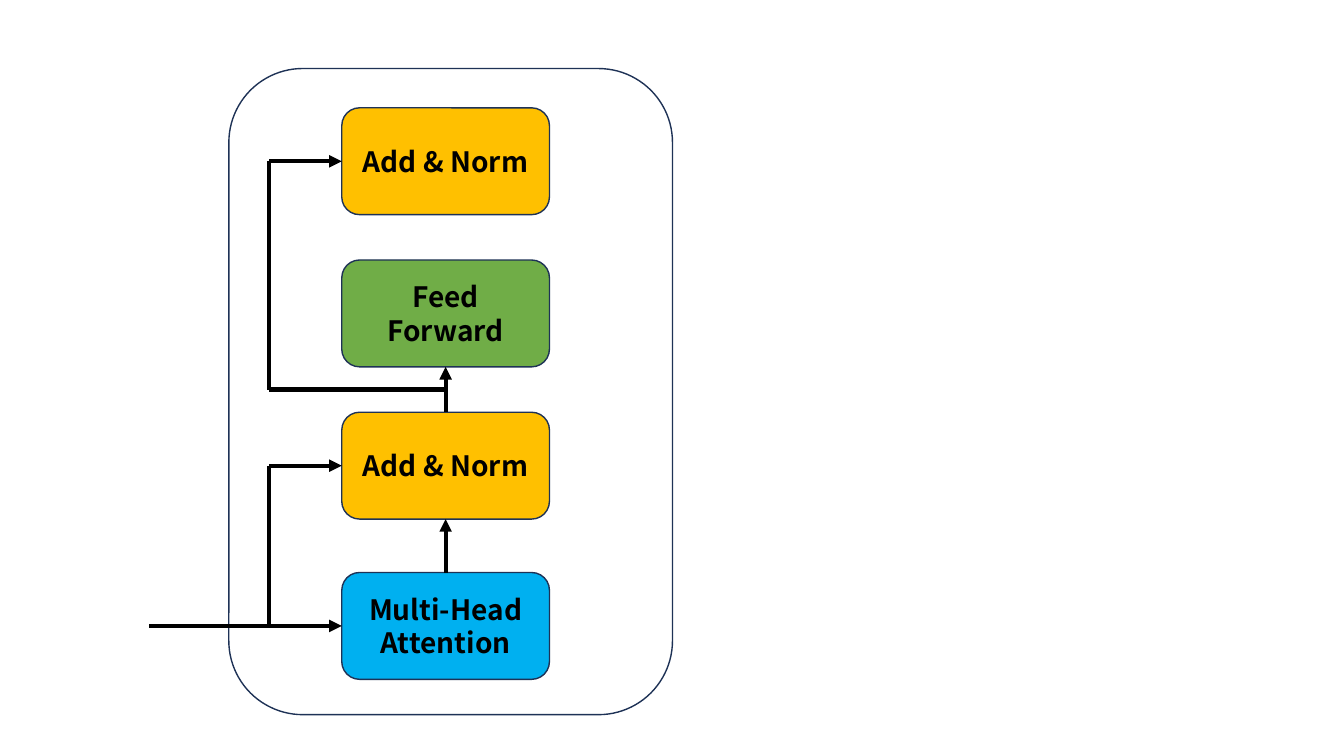
from pptx import Presentation
from pptx.dml.color import RGBColor
from pptx.enum.shapes import MSO_CONNECTOR, MSO_SHAPE
from pptx.enum.text import MSO_ANCHOR, PP_ALIGN
from pptx.oxml.ns import qn
from pptx.util import Inches, Pt
from lxml import etree

ROUNDED = MSO_SHAPE.ROUNDED_RECTANGLE
STRAIGHT = MSO_CONNECTOR.STRAIGHT
MIDDLE = MSO_ANCHOR.MIDDLE
CENTER = PP_ALIGN.CENTER

FONT = "Noto Sans CJK SC"
COLORS = {
    "outline": "1E3256",
    "ink": "000000",
    "attention": "00B0F0",
    "norm": "FFC000",
    "feed_forward": "70AD47",
}
LAYER_WIDTH, LAYER_HEIGHT = 2.06, 1.06
# Offset from the top of the encoder block, lines of the label, colour
LAYERS = {
    "attention": (5.0, ["Multi-Head", "Attention"], "attention"),
    "first_norm": (3.41, ["Add & Norm"], "norm"),
    "feed_forward": (1.9, ["Feed Forward"], "feed_forward"),
    "second_norm": (0.39, ["Add & Norm"], "norm"),
}


def rgb(name):
    return RGBColor.from_string(COLORS[name])


def write_text(shape, lines, size=20, bold=True, color="ink", align=CENTER):
    frame = shape.text_frame
    frame.word_wrap = True
    frame.vertical_anchor = MIDDLE
    for index, line in enumerate(lines):
        paragraph = frame.paragraphs[0] if index == 0 else frame.add_paragraph()
        paragraph.alignment = align
        run = paragraph.add_run()
        run.text = line
        run.font.name = FONT
        run.font.size = Pt(size)
        run.font.bold = bold
        run.font.color.rgb = rgb(color)


def add_rounded_box(slide, left, top, width, height, fill=None):
    box = slide.shapes.add_shape(
        ROUNDED, Inches(left), Inches(top), Inches(width), Inches(height))
    box.shadow.inherit = False
    if fill:
        box.fill.solid()
        box.fill.fore_color.rgb = rgb(fill)
    else:
        box.fill.background()
    box.line.color.rgb = rgb("outline")
    box.line.width = Pt(1)
    return box


def add_path(slide, *points, arrow=True):
    """Join the points with straight lines, with an arrowhead on the last."""
    for start, end in zip(points, points[1:]):
        segment = slide.shapes.add_connector(
            STRAIGHT, *(Inches(value) for value in start + end))
        segment.line.color.rgb = rgb("ink")
        segment.line.width = Pt(3)
        if arrow and end == points[-1]:
            line = segment.line._get_or_add_ln()
            etree.SubElement(line, qn("a:tailEnd"), type="triangle")
        etree.SubElement(segment._element.spPr, qn("a:effectLst"))


def add_encoder(slide, left, top, width, height):
    add_rounded_box(slide, left, top, width, height)
    layer_left = left + 1.12
    center = layer_left + LAYER_WIDTH / 2
    bypass = left + 0.4
    tops = {}
    for name, (offset, lines, fill) in LAYERS.items():
        tops[name] = top + offset
        layer = add_rounded_box(
            slide, layer_left, tops[name], LAYER_WIDTH, LAYER_HEIGHT, fill)
        write_text(layer, lines)

    middles = {name: y + LAYER_HEIGHT / 2 for name, y in tops.items()}
    bottoms = {name: y + LAYER_HEIGHT for name, y in tops.items()}
    branch = (bottoms["feed_forward"] + tops["first_norm"]) / 2

    add_path(slide, (left - 0.79, middles["attention"]),
             (layer_left, middles["attention"]))
    add_path(slide, (bypass, middles["attention"]),
             (bypass, middles["first_norm"]),
             (layer_left, middles["first_norm"]))
    for lower, upper in (("attention", "first_norm"),
                         ("first_norm", "feed_forward")):
        add_path(slide, (center, tops[lower]), (center, bottoms[upper]))
    add_path(slide, (center, branch), (bypass, branch),
             (bypass, middles["second_norm"]),
             (layer_left, middles["second_norm"]))


def main():
    deck = Presentation()
    deck.slide_width, deck.slide_height = Inches(13.33), Inches(7.5)
    slide = deck.slides.add_slide(deck.slide_layouts[6])
    add_encoder(slide, 2.27, 0.68, 4.4, 6.41)
    deck.save("out.pptx")


if __name__ == "__main__":
    main()
